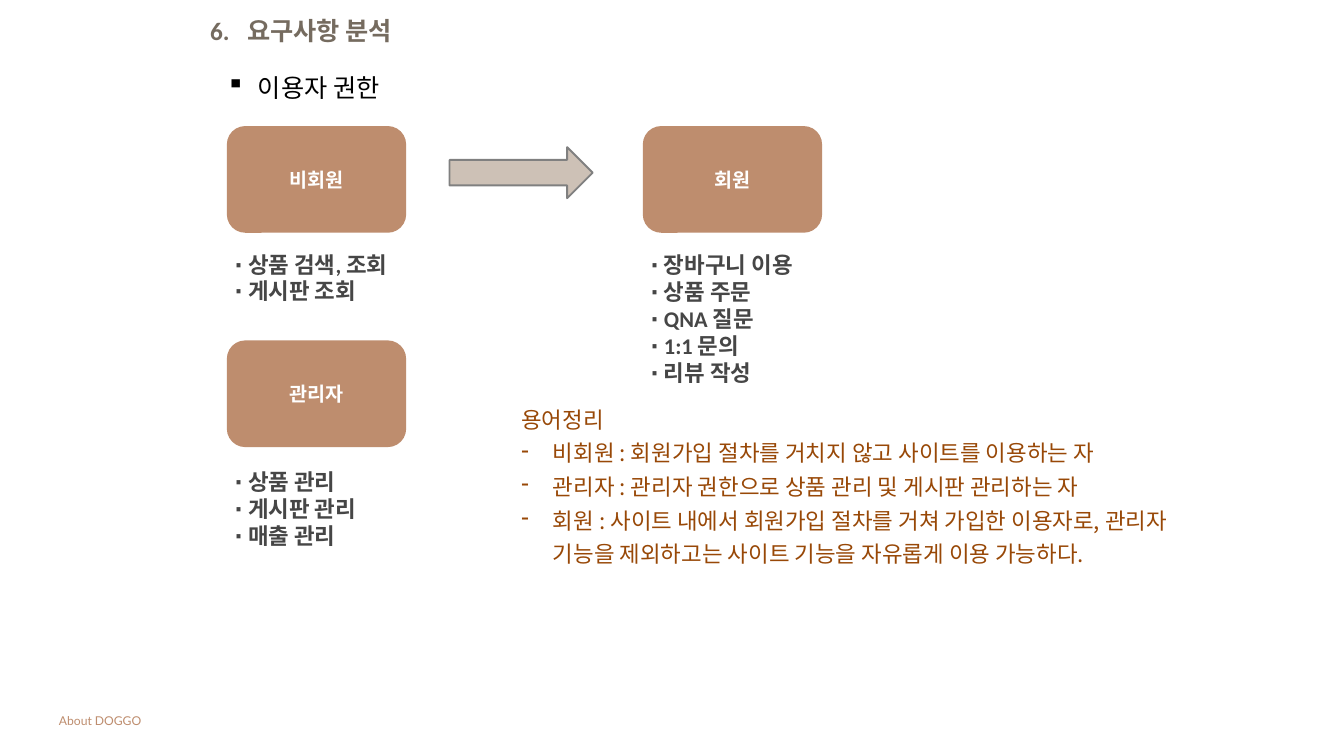
from lxml import etree
from pptx import Presentation
from pptx.dml.color import RGBColor
from pptx.enum import shapes, text
from pptx.oxml.ns import qn
from pptx.util import Inches, Pt

TAN = RGBColor(0xBE, 0x8D, 0x6E)
SAND = RGBColor(0xCD, 0xC1, 0xB6)
GRAY = RGBColor(0x80, 0x80, 0x80)
TITLE = RGBColor(0x75, 0x6B, 0x5F)
DARK = RGBColor(0x46, 0x46, 0x46)
BROWN = RGBColor(0x98, 0x48, 0x07)
BLACK = RGBColor(0, 0, 0)
WHITE = RGBColor(0xFF, 0xFF, 0xFF)
KOREAN = "Noto Sans CJK KR"

deck = Presentation()
deck.slide_width, deck.slide_height = Inches(20), Inches(11.25)
page = deck.slides.add_slide(deck.slide_layouts[6])


def write(box, lines, size, font, color, bold=False):
    """Fill a shape with one paragraph per line and format the runs."""
    frame = box.text_frame
    frame.word_wrap = True
    frame.text = "\n".join(lines)
    for para in frame.paragraphs:
        for span in para.runs:
            span.font.size, span.font.bold = Pt(size), bold
            span.font.name = font
            span.font.color.rgb = color
            etree.SubElement(span.font._element, qn("a:ea"), typeface=KOREAN)
    return frame


def hang(para, indent, bullet=None):
    """Give a paragraph a hanging indent and, if wanted, a bullet."""
    props = para._p.get_or_add_pPr()
    props.set("marL", str(Inches(indent)))
    props.set("indent", str(-Inches(indent)))
    if bullet:
        etree.SubElement(props, qn("a:buChar"), char=bullet)


# Role boxes, each with its list of permissions: left, top, list top, height
roles = [
    ("비회원", 3.39, 1.89, 3.68, 0.91, ["상품 검색, 조회", "게시판 조회"]),
    ("회원", 9.58, 1.89, 3.69, 2.12,
     ["장바구니 이용", "상품 주문", "QNA 질문", "1:1 문의", "리뷰 작성"]),
    ("관리자", 3.39, 5.08, 6.92, 1.31, ["상품 관리", "게시판 관리", "매출 관리"]),
]
for role, left, top, list_top, list_height, permissions in roles:
    card = page.shapes.add_shape(shapes.MSO_SHAPE.ROUNDED_RECTANGLE, Inches(left),
                                 Inches(top), Inches(2.64), Inches(1.56))
    card.shadow.inherit = False
    card.fill.solid()
    card.fill.fore_color.rgb = card.line.color.rgb = TAN
    card.line.width = Pt(2)
    frame = write(card, [role], 21, "Karla", WHITE, True)
    frame.vertical_anchor = text.MSO_ANCHOR.MIDDLE
    frame.paragraphs[0].alignment = text.PP_ALIGN.CENTER

    box = page.shapes.add_textbox(Inches(left), Inches(list_top),
                                  Inches(3.31), Inches(list_height))
    write(box, [f"∙ {item}" for item in permissions], 24, "Calibri", DARK, True)

# Arrow from non-member to member
arrow = page.shapes.add_shape(shapes.MSO_SHAPE.RIGHT_ARROW, Inches(6.69),
                              Inches(2.19), Inches(2.13), Inches(0.76))
arrow.shadow.inherit = False
arrow.fill.solid()
arrow.fill.fore_color.rgb = SAND
arrow.line.color.rgb = GRAY
arrow.line.width = Pt(2)

# Title
box = page.shapes.add_textbox(Inches(3.03), Inches(0.18), Inches(3.66), Inches(0.56))
frame = write(box, ["6.\t요구사항 분석"], 27, "Calibri", TITLE, True)
hang(frame.paragraphs[0], 0.55)

# Subtitle
box = page.shapes.add_textbox(Inches(3.27), Inches(1.02), Inches(2.66), Inches(0.56))
frame = write(box, ["이용자 권한"], 27, KOREAN, BLACK)
frame.word_wrap = False
hang(frame.paragraphs[0], 0.47, "▪")

# Glossary
box = page.shapes.add_textbox(Inches(7.66), Inches(5.89), Inches(10.7), Inches(2.63))
frame = write(box, [
    "용어정리",
    "비회원 : 회원가입 절차를 거치지 않고 사이트를 이용하는 자",
    "관리자 : 관리자 권한으로 상품 관리 및 게시판 관리하는 자",
    "회원 : 사이트 내에서 회원가입 절차를 거쳐 가입한 이용자로, "
    "관리자 기능을 제외하고는 사이트 기능을 자유롭게 이용 가능하다.",
], 24, KOREAN, BROWN)
for para in frame.paragraphs:
    para.line_spacing = Pt(36)
for para in frame.paragraphs[1:]:
    hang(para, 0.47, "-")

# Footer
box = page.shapes.add_textbox(Inches(0.78), Inches(10.57), Inches(3.97), Inches(0.32))
write(box, ["About DOGGO"], 13, "Lato", TAN)

deck.save("out.pptx")
